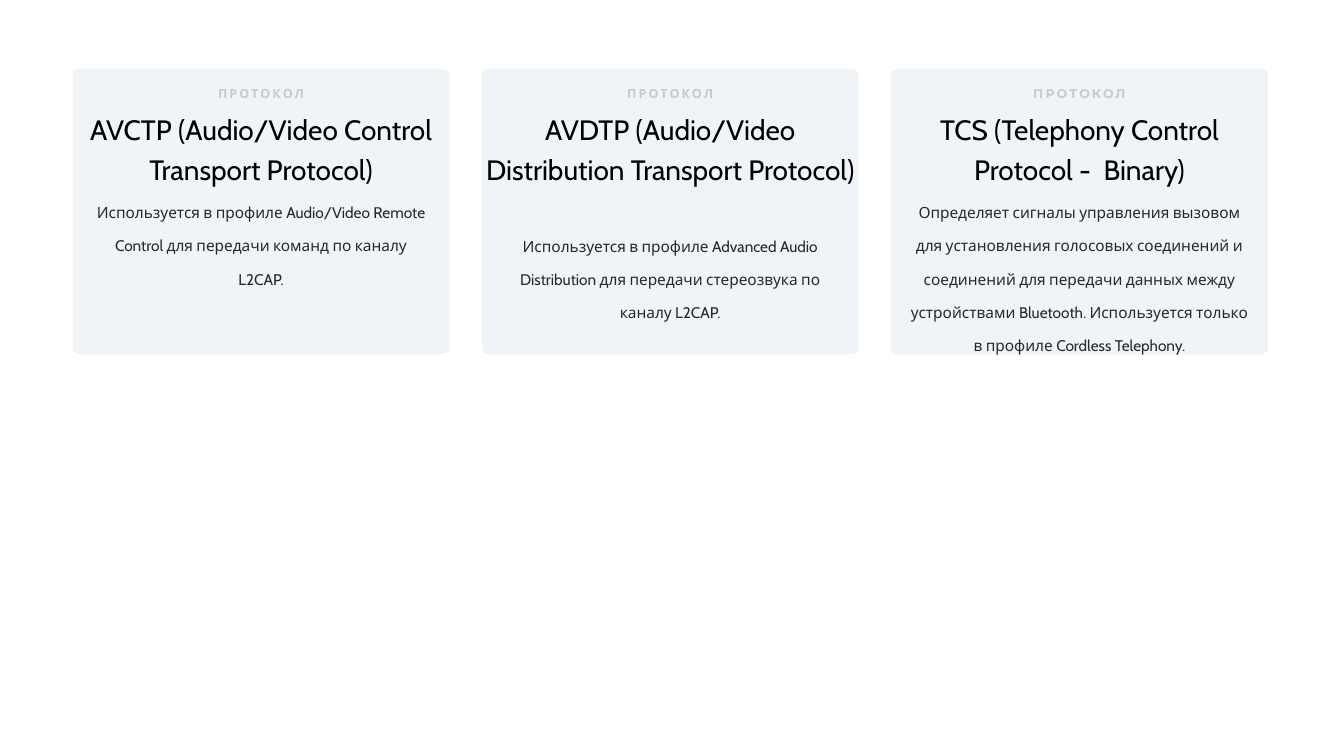
"""Build a slide with three cards that describe Bluetooth protocols."""
from dataclasses import dataclass

from pptx import Presentation
from pptx.dml.color import RGBColor
from pptx.enum.shapes import MSO_SHAPE
from pptx.enum.text import MSO_ANCHOR, MSO_AUTO_SIZE, PP_ALIGN
from pptx.shapes.shapetree import GroupShapes, SlideShapes
from pptx.util import Inches, Pt

ROUNDED = MSO_SHAPE.ROUNDED_RECTANGLE
CENTER = PP_ALIGN.CENTER
TOP, MIDDLE = MSO_ANCHOR.TOP, MSO_ANCHOR.MIDDLE
GROW, FIXED = MSO_AUTO_SIZE.SHAPE_TO_FIT_TEXT, MSO_AUTO_SIZE.NONE

WHITE = RGBColor(0xFF, 0xFF, 0xFF)
CARD_FILL = RGBColor(0xF0, 0xF4, 0xF7)
LABEL_GRAY = RGBColor(0xC3, 0xCB, 0xD0)
HEADING_BLACK = RGBColor(0x00, 0x00, 0x00)
BODY_DARK = RGBColor(0x29, 0x28, 0x29)

CARD_LEFT, CARD_TOP = 1.44, 1.36
CARD_WIDTH, CARD_HEIGHT = 7.48, 5.67
CARD_STEP = 8.12
LABEL_WIDTH, BODY_WIDTH = 6.12, 6.93


@dataclass(frozen=True)
class Card:
    heading: str
    body: str
    body_top: float
    body_height: float
    label_font: str = "Cabin"


CARDS = (
    Card(
        "AVCTP (Audio/Video Control Transport Protocol)",
        "Используется в профиле Audio/Video Remote Control для передачи команд "
        "по каналу L2CAP.",
        3.69, 2,
    ),
    Card(
        "AVDTP (Audio/Video Distribution Transport Protocol)",
        "Используется в профиле Advanced Audio Distribution для передачи "
        "стереозвука по каналу L2CAP.",
        4.36, 2,
    ),
    Card(
        "TCS (Telephony Control Protocol -  Binary)",
        "Определяет сигналы управления вызовом для установления голосовых "
        "соединений и соединений для передачи данных между устройствами "
        "Bluetooth. Используется только в профиле Cordless Telephony.",
        3.69, 3.34, label_font="Montserrat",
    ),
)


def add_text(shapes: GroupShapes, text: str, *, center: float, top: float,
             width: float, height: float, size: float, color: RGBColor,
             font: str = "Cabin", bold: bool = False, line_spacing: float = 1.0,
             letter_spacing: float = 0, anchor: MSO_ANCHOR = TOP,
             auto_size: MSO_AUTO_SIZE = GROW,
             insets: tuple[float, float] = (0.04, 0.04)) -> None:
    """Add a wrapped, centred text box around a vertical axis."""
    box = shapes.add_textbox(Inches(center - width / 2), Inches(top),
                             Inches(width), Inches(height))
    frame = box.text_frame
    frame.word_wrap = True
    frame.auto_size = auto_size
    frame.vertical_anchor = anchor
    frame.margin_left = frame.margin_right = Inches(insets[0])
    frame.margin_top = frame.margin_bottom = Inches(insets[1])
    paragraph = frame.paragraphs[0]
    paragraph.alignment = CENTER
    paragraph.line_spacing = line_spacing
    run = paragraph.add_run()
    run.text = text
    run.font.name = font
    run.font.size = Pt(size)
    run.font.bold = bold
    run.font.color.rgb = color
    if letter_spacing:
        run.font._element.set("spc", str(round(letter_spacing * 100)))


def add_card(slide_shapes: SlideShapes, card: Card, left: float) -> None:
    """Add one protocol card as a group."""
    shapes = slide_shapes.add_group_shape().shapes
    center = left + CARD_WIDTH / 2
    panel = shapes.add_shape(ROUNDED, Inches(left), Inches(CARD_TOP),
                             Inches(CARD_WIDTH), Inches(CARD_HEIGHT))
    panel.adjustments[0] = 0.023
    panel.shadow.inherit = False
    panel.fill.solid()
    panel.fill.fore_color.rgb = CARD_FILL
    panel.line.fill.background()
    add_text(shapes, card.heading, center=center, top=2.05, width=CARD_WIDTH,
             height=1.1, size=40, color=HEADING_BLACK, line_spacing=1.2,
             auto_size=FIXED)
    add_text(shapes, card.body, center=center, top=card.body_top,
             width=BODY_WIDTH, height=card.body_height, size=22,
             color=BODY_DARK, line_spacing=1.8, insets=(0.1, 0.05))
    add_text(shapes, "ПРОТОКОЛ", center=center, top=1.66, width=LABEL_WIDTH,
             height=0.39, size=18, color=LABEL_GRAY, font=card.label_font,
             bold=True, letter_spacing=3, anchor=MIDDLE)


def main() -> None:
    """Create and save the presentation."""
    presentation = Presentation()
    presentation.slide_width = Inches(26.67)
    presentation.slide_height = Inches(15)
    slide = presentation.slides.add_slide(presentation.slide_layouts[6])
    slide.background.fill.solid()
    slide.background.fill.fore_color.rgb = WHITE
    for index, card in enumerate(CARDS):
        add_card(slide.shapes, card, CARD_LEFT + index * CARD_STEP)
    presentation.save("out.pptx")


if __name__ == "__main__":
    main()
